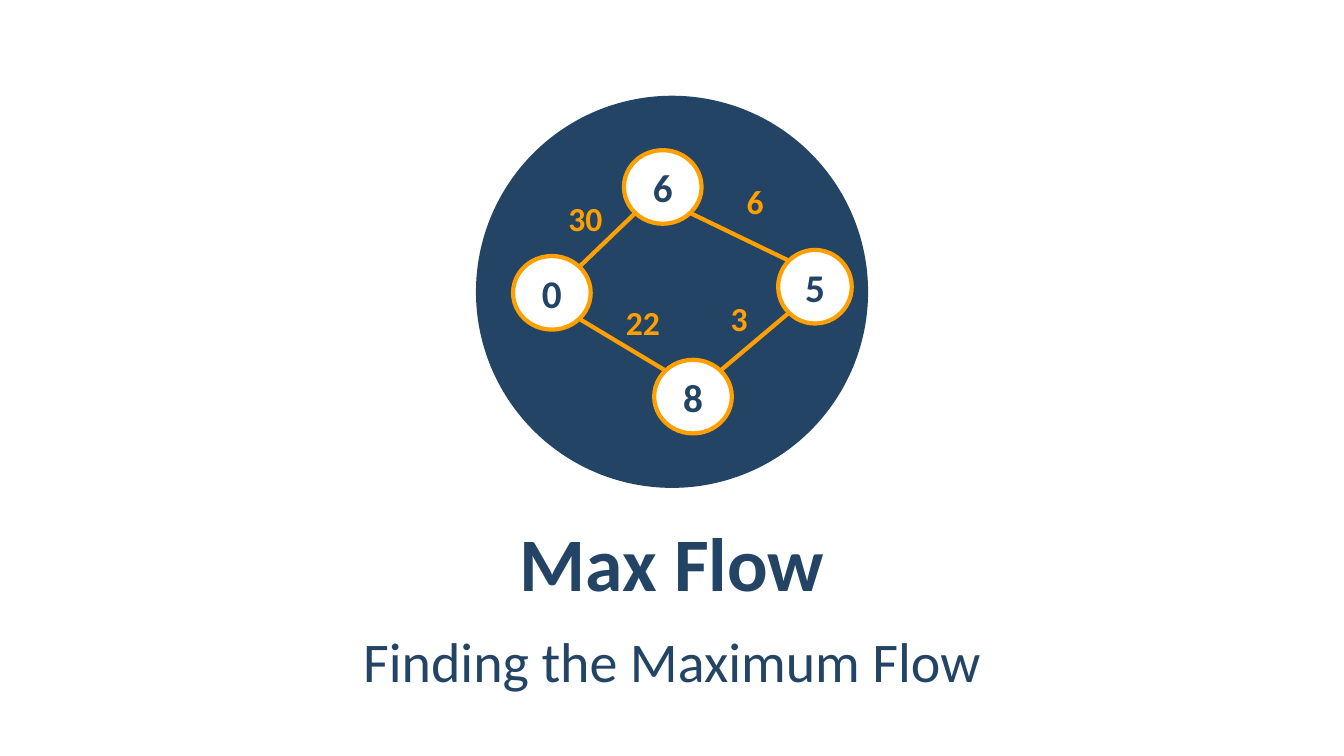
from math import sqrt

from pptx import Presentation
from pptx.dml.color import RGBColor
from pptx.enum.shapes import MSO_CONNECTOR, MSO_SHAPE
from pptx.enum.text import MSO_ANCHOR as Anchor, PP_ALIGN as Align
from pptx.oxml.xmlchemy import OxmlElement
from pptx.util import Inches, Pt

COLORS = {"navy": "234465", "amber": "FFA000", "white": "FFFFFF"}
FONT = "Calibri"

# Grid: ten columns and ten rows to the inch
COLS, ROWS = 133.33, 75
CELL = Inches(0.1)

# Node label: (centre column, centre row, width in columns)
NODES = {
    "5": (80.85, 28.45, 7.3),
    "8": (68.75, 39.35, 7.7),
    "6": (65.75, 18.55, 7.7),
    "0": (54.75, 29.05, 7.7),
}
NODE_ROWS = 7.3

# Each edge runs between diagonal points of two nodes: (node, x side, y side)
EDGES = [
    (("5", -1, -1), ("6", 1, 1)),
    (("5", -1, 1), ("8", 1, -1)),
    (("0", 1, -1), ("6", -1, 1)),
    (("0", 1, 1), ("8", -1, -1)),
]

# Capacity: (text, left column, top row)
CAPACITIES = [("30", 55.4, 19.1), ("22", 61.1, 29.5), ("6", 73.1, 17.5), ("3", 71.5, 29.1)]


def cells(*counts):
    return [round(count * CELL) for count in counts]


def rgb(name):
    return RGBColor.from_string(COLORS[name])


def apply_format(target, values):
    for attribute, value in values.items():
        setattr(target, attribute, value)


def write(shape, text, size, color, bold=True, frame=None, paragraph=None):
    apply_format(shape.text_frame, {"word_wrap": True, **(frame or {})})
    line = shape.text_frame.paragraphs[0]
    apply_format(line, paragraph or {})
    run = line.add_run()
    run.text = text
    apply_format(run.font, {"name": FONT, "size": Pt(size), "bold": bold})
    run.font.color.rgb = rgb(color)


def add_disc(slide, center, width, height, fill, outline=None):
    col, row = center
    disc = slide.shapes.add_shape(
        MSO_SHAPE.OVAL, *cells(col - width / 2, row - height / 2, width, height))
    disc.shadow.inherit = False
    disc.fill.solid()
    disc.fill.fore_color.rgb = rgb(fill)
    if outline:
        disc.line.color.rgb = rgb(outline)
        disc.line.width = Pt(3)
    else:
        disc.line.fill.background()
    return disc


def diagonal_point(node, x_side, y_side):
    col, row, width = NODES[node]
    return col + x_side * width / sqrt(8), row + y_side * NODE_ROWS / sqrt(8)


def add_edge(slide, start, end):
    edge = slide.shapes.add_connector(
        MSO_CONNECTOR.STRAIGHT, *cells(*diagonal_point(*start), *diagonal_point(*end)))
    edge.line.color.rgb = rgb("amber")
    edge.line.width = Pt(3)
    edge.element.spPr.append(OxmlElement("a:effectLst"))


def add_node(slide, label):
    col, row, width = NODES[label]
    node = add_disc(slide, (col, row), width, NODE_ROWS, "white", "amber")
    side, end = Inches(0.04), Inches(0.05)
    write(node, label, 28, "navy",
          frame={"vertical_anchor": Anchor.MIDDLE, "margin_left": side,
                 "margin_right": side, "margin_top": end, "margin_bottom": end},
          paragraph={"alignment": Align.CENTER})


def add_capacity(slide, text, col, row):
    width = 2 + 1.7 * len(text)
    box = slide.shapes.add_textbox(*cells(col, row, width, 5))
    write(box, text, 24, "amber", frame={"word_wrap": False})


def add_heading(slide, text, row, size, bold, spacing=None):
    margin = 6.7
    box = slide.shapes.add_textbox(*cells(margin, row, COLS - 2 * margin, 8.4))
    side, end = Inches(0.12), Inches(0.04)
    write(box, text, size, "navy", bold,
          frame={"vertical_anchor": Anchor.MIDDLE, "margin_left": side,
                 "margin_right": side, "margin_top": end, "margin_bottom": end},
          paragraph={"alignment": Align.CENTER, **(spacing or {})})


def main():
    deck = Presentation()
    deck.slide_width, deck.slide_height = cells(COLS, ROWS)
    slide = deck.slides.add_slide(deck.slide_layouts[6])

    # Backdrop
    add_disc(slide, (COLS / 2, 28.95), 38.9, 38.9, "navy")

    # Flow network
    for start, end in EDGES:
        add_edge(slide, start, end)
    for label in NODES:
        add_node(slide, label)
    for capacity in CAPACITIES:
        add_capacity(slide, *capacity)

    # Headings
    add_heading(slide, "Max Flow", 51.5, 54, True)
    add_heading(slide, "Finding the Maximum Flow", 61.1, 40, False,
                {"line_spacing": 1.05, "space_before": Pt(6), "space_after": Pt(6)})

    deck.save("out.pptx")


if __name__ == "__main__":
    main()
